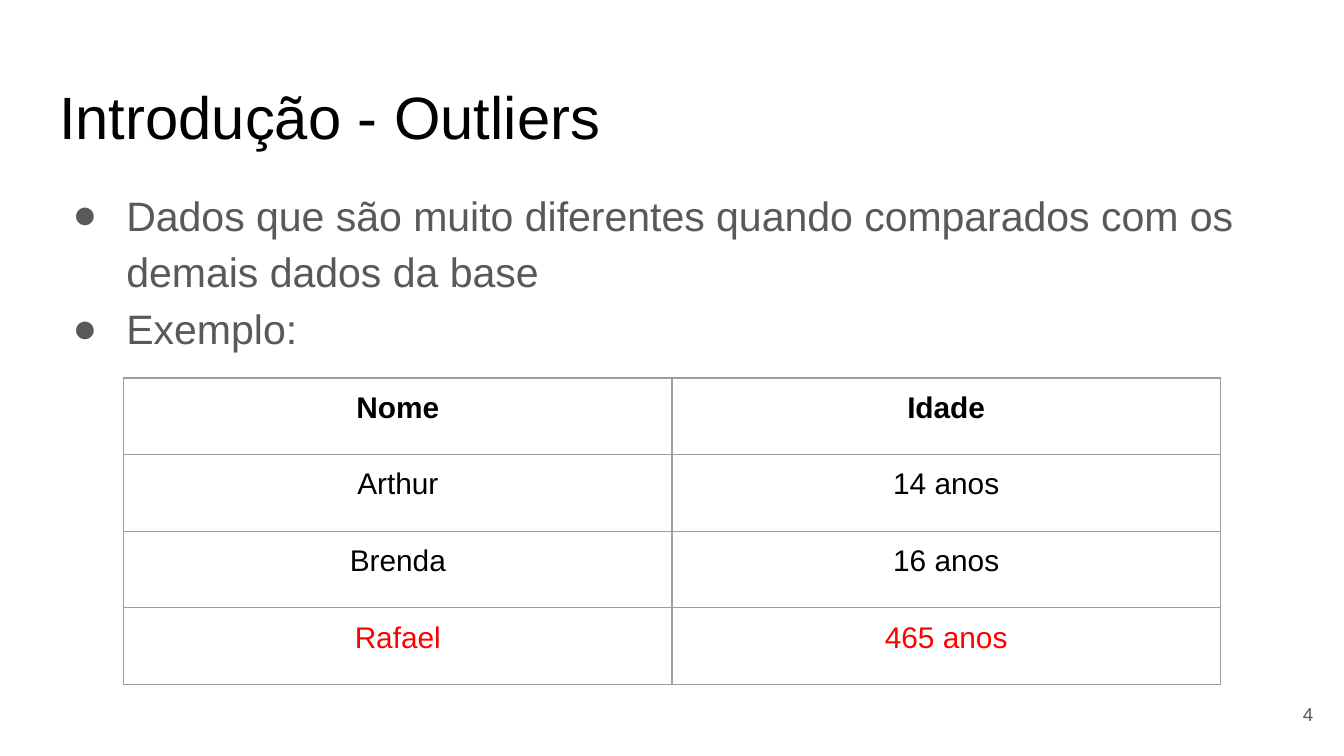
from lxml.etree import SubElement
from pptx import Presentation
from pptx.dml.color import RGBColor
from pptx.enum.text import MSO_ANCHOR, MSO_AUTO_SIZE, PP_ALIGN
from pptx.oxml.ns import qn
from pptx.util import Pt

PX = 2286
INSET = 40 * PX
GRAY = "595959"
BORDER = "9E9E9E"


def add_text(paragraph, text, size, color, align=PP_ALIGN.LEFT, bold=False):
    paragraph.alignment = align
    run = paragraph.add_run()
    run.text = text
    run.font.name = "Arial"
    run.font.size = Pt(size)
    run.font.bold = bold
    run.font.color.rgb = RGBColor.from_string(color)


def set_frame(box, left, top, width, height, anchor=MSO_ANCHOR.TOP):
    box.left, box.top, box.width, box.height = (n * PX for n in (left, top, width, height))
    frame = box.text_frame
    frame.margin_left = frame.margin_right = INSET
    frame.margin_top = frame.margin_bottom = INSET
    frame.word_wrap = True
    frame.auto_size = MSO_AUTO_SIZE.NONE
    frame.vertical_anchor = anchor
    return frame


prs = Presentation()
prs.slide_width, prs.slide_height = 4000 * PX, 2250 * PX
slide = prs.slides.add_slide(prs.slide_layouts[1])
slide.background.fill.solid()
slide.background.fill.fore_color.rgb = RGBColor.from_string("FFFFFF")

heading = set_frame(slide.shapes.title, 136, 196, 3728, 252)
add_text(heading.paragraphs[0], "Introdução - Outliers", 32, "000000")

points = set_frame(slide.placeholders[1], 136, 504, 3728, 1496)
for index, point in enumerate([
    "Dados que são muito diferentes quando comparados com os demais dados da base",
    "Exemplo:",
]):
    paragraph = points.add_paragraph() if index else points.paragraphs[0]
    add_text(paragraph, point, 22, GRAY)
    paragraph.line_spacing = 1.15
    paragraph.space_before = Pt(0)
    props = paragraph._p.get_or_add_pPr()
    props.set("marL", str(200 * PX))
    props.set("indent", str(-160 * PX))
    SubElement(SubElement(props, qn("a:buClr")), qn("a:srgbClr"), val=GRAY)
    SubElement(props, qn("a:buFont"), typeface="Arial")
    SubElement(props, qn("a:buChar"), char="●")

people = [
    ("Nome", "Idade"),
    ("Arthur", "14 anos"),
    ("Brenda", "16 anos"),
    ("Rafael", "465 anos"),
]
ages = slide.shapes.add_table(4, 2, 368 * PX, 1125 * PX, 3264 * PX, 912 * PX).table
ages.first_row = False
ages.horz_banding = False
for row, person in enumerate(people):
    color = "FF0000" if person[0] == "Rafael" else "000000"
    for column, value in enumerate(person):
        cell = ages.cell(row, column)
        cell.margin_left = cell.margin_right = INSET
        cell.margin_top = cell.margin_bottom = INSET
        add_text(cell.text_frame.paragraphs[0], value, 16, color, PP_ALIGN.CENTER, row == 0)
        cell_props = cell._tc.get_or_add_tcPr()
        for side in ("lnL", "lnR", "lnT", "lnB"):
            border = SubElement(cell_props, qn(f"a:{side}"), w=str(Pt(0.75)))
            SubElement(SubElement(border, qn("a:solidFill")), qn("a:srgbClr"), val=BORDER)
        cell.fill.background()

page_number = set_frame(slide.shapes.add_textbox(0, 0, PX, PX), 3708, 2040, 240, 172, MSO_ANCHOR.MIDDLE)
add_text(page_number.paragraphs[0], "4", 10, GRAY, PP_ALIGN.RIGHT)

prs.save("out.pptx")
